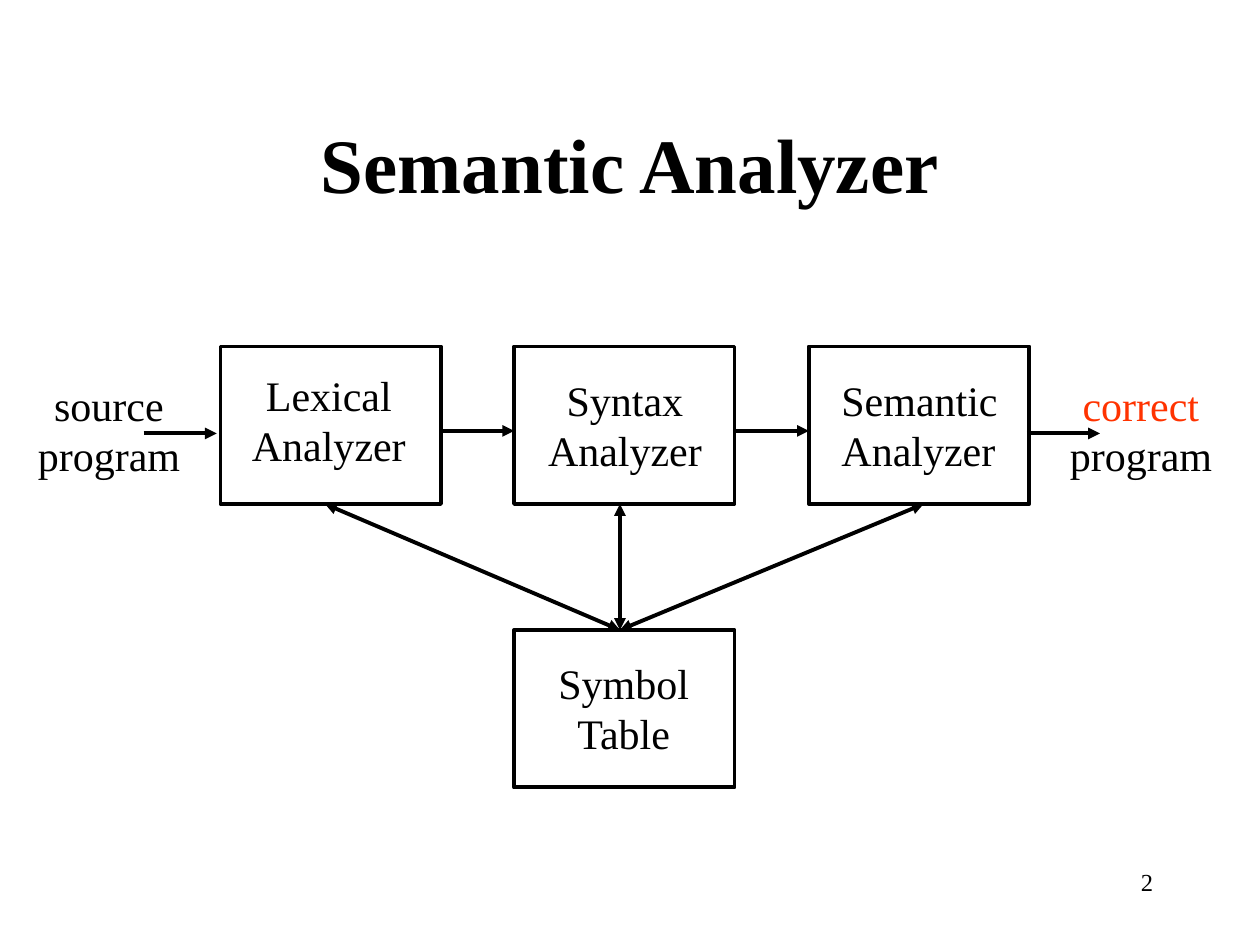
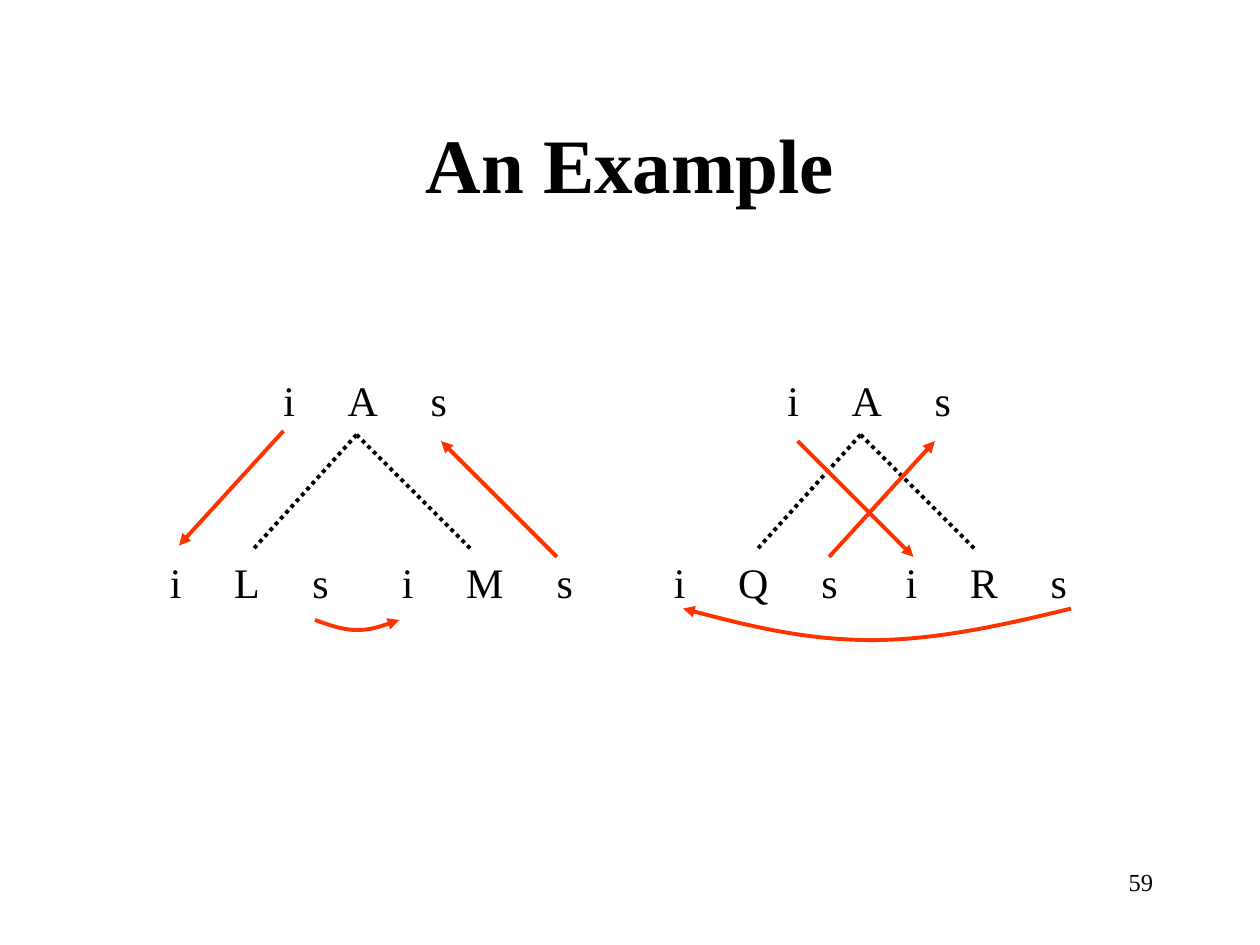
from pptx import Presentation
from pptx import util as u
from pptx.dml.color import RGBColor
from pptx.enum import dml, shapes, text
from pptx.oxml.ns import qn
from lxml import etree

FONT = "Times New Roman"
HUES = {"ink": "000000", "hot": "FF3300"}
MID, LEFT, RIGHT = text.PP_ALIGN.CENTER, text.PP_ALIGN.LEFT, text.PP_ALIGN.RIGHT


def write(slide, at, lines, size=24, align=MID, hues=("ink", "ink"), stops=()):
    box = slide.shapes.add_textbox(*map(u.Inches, at))
    frame = box.text_frame
    frame.word_wrap = bool(stops) or align == RIGHT
    if stops:
        frame.margin_right = 0
    frame.text = "\n".join(lines)
    for para, hue in zip(frame.paragraphs, hues):
        para.alignment = align
        if stops:
            tabs = etree.SubElement(para._p.get_or_add_pPr(), qn("a:tabLst"))
            for stop in stops:
                etree.SubElement(tabs, qn("a:tab"), pos=str(u.Inches(stop)), algn="l")
        para.font.size, para.font.name = u.Pt(size), FONT
        para.font.color.rgb = RGBColor.from_string(HUES[hue])


def ink(shape, hue="ink", ends=(), dash=None):
    shape.line.width = u.Pt(2.25)
    shape.line.color.rgb = RGBColor.from_string(HUES[hue])
    if dash:
        shape.line.dash_style = dash
    props = shape._element.spPr
    for end in ends:
        etree.SubElement(props.find(qn("a:ln")), qn("a:" + end), type="triangle")
    etree.SubElement(props, qn("a:effectLst"))


deck = Presentation()
deck.slide_width, deck.slide_height = u.Inches(10), u.Inches(7.5)
slides = []
for name, page in (("Semantic Analyzer", "2"), ("An Example", "59")):
    slide = deck.slides.add_slide(deck.slide_layouts[5])
    title = slide.shapes.title
    title.left, title.top = u.Inches(0.75), u.Inches(0.67)
    title.width, title.height = u.Inches(8.5), u.Inches(1.25)
    title.text_frame.text = name
    title.text_frame.auto_size = text.MSO_AUTO_SIZE.NONE
    title.text_frame.vertical_anchor = text.MSO_ANCHOR.MIDDLE
    para = title.text_frame.paragraphs[0]
    para.alignment = MID
    para.font.size, para.font.name, para.font.bold = u.Pt(44), FONT, True
    para.font.color.rgb = RGBColor.from_string(HUES["ink"])
    write(slide, (7.17, 6.83, 2.08, 0.5), [page], 14, RIGHT)
    slides.append(slide)
flow, tree = slides

for x, y in ((1.75, 2.75), (4.08, 2.75), (6.42, 2.75), (4.08, 5)):
    box = flow.shapes.add_shape(shapes.MSO_SHAPE.RECTANGLE, *map(u.Inches, (x, y, 1.75, 1.25)))
    box.fill.background()
    ink(box)

for x, y, w, label, align, hue in (
    (1.9, 2.88, 1.42, "Lexical Analyzer", MID, "ink"),
    (4.25, 2.92, 1.42, "Syntax Analyzer", MID, "ink"),
    (6.58, 2.92, 1.44, "Semantic Analyzer", LEFT, "ink"),
    (4.33, 5.17, 1.24, "Symbol Table", MID, "ink"),
    (0.2, 2.96, 1.33, "source program", MID, "ink"),
    (8.39, 2.96, 1.33, "correct program", MID, "hot"),
):
    write(flow, (x, y, w, 0.9), label.split(), align=align, hues=(hue, "ink"))

NEXT, BOTH = ("tailEnd",), ("headEnd", "tailEnd")
DOT = dml.MSO_LINE.ROUND_DOT
links = [
    (flow, 3.5, 3.42, 4.08, 3.42, "ink", NEXT, None),
    (flow, 5.83, 3.42, 6.42, 3.42, "ink", NEXT, None),
    (flow, 1.14, 3.44, 1.72, 3.44, "ink", NEXT, None),
    (flow, 8.15, 3.44, 8.73, 3.44, "ink", NEXT, None),
]
links += [(flow, x, 4, 4.92, 5, "ink", BOTH, None) for x in (2.58, 4.92, 7.33)]

for x, kids in ((0, "LM"), (4, "QR")):
    nodes = [("A", 2.15, 2.92), (kids[0], 1.25, 4.37), (kids[1], 3.09, 4.37)]
    wide = {"A": 0.24, "L": 0.2, "M": 0.3, "Q": 0.24, "R": 0.22}
    for node, left, top in nodes:
        write(tree, (x + left, top, 1.25 + wide[node], 0.5), [f"i\t{node}\ts"],
              align=LEFT, stops=(0.51, 0.93 + wide[node]))
    links += [(tree, x + 2.83, 3.45, x + end, 4.37, "ink", (), DOT) for end in (2, 3.75)]

links += [
    (tree, 2.25, 3.42, 1.42, 4.33, "hot", NEXT, None),
    (tree, 4.42, 4.42, 3.5, 3.5, "hot", NEXT, None),
    (tree, 6.33, 3.5, 7.25, 4.42, "hot", NEXT, None),
    (tree, 6.58, 4.42, 7.42, 3.5, "hot", NEXT, None),
]
for slide, *ends, hue, tips, dash in links:
    line = slide.shapes.add_connector(shapes.MSO_CONNECTOR.STRAIGHT, *map(u.Inches, ends))
    ink(line, hue, tips, dash)

for curve in (
    ((2.5, 4.92), (2.61, 4.96), (2.72, 5), (2.83, 5), (2.94, 5), (3.06, 4.96), (3.17, 4.92)),
    ((8.5, 4.83), (7.97, 4.96), (7.43, 5.08), (6.92, 5.08), (6.4, 5.08), (5.91, 4.96), (5.42, 4.83)),
):
    dots = [(u.Inches(x), u.Inches(y)) for x, y in curve]
    pen = tree.shapes.build_freeform(*dots[0])
    pen.add_line_segments(dots[1:], close=False)
    arc = pen.convert_to_shape()
    arc.fill.background()
    track = next(arc._element.iter(qn("a:path")))
    steps = track.findall(qn("a:lnTo"))
    for k in range(0, len(steps), 3):
        bend = etree.SubElement(track, qn("a:cubicBezTo"))
        for step in steps[k:k + 3]:
            bend.append(step[0])
            track.remove(step)
    ink(arc, "hot", NEXT)

deck.save("out.pptx")
